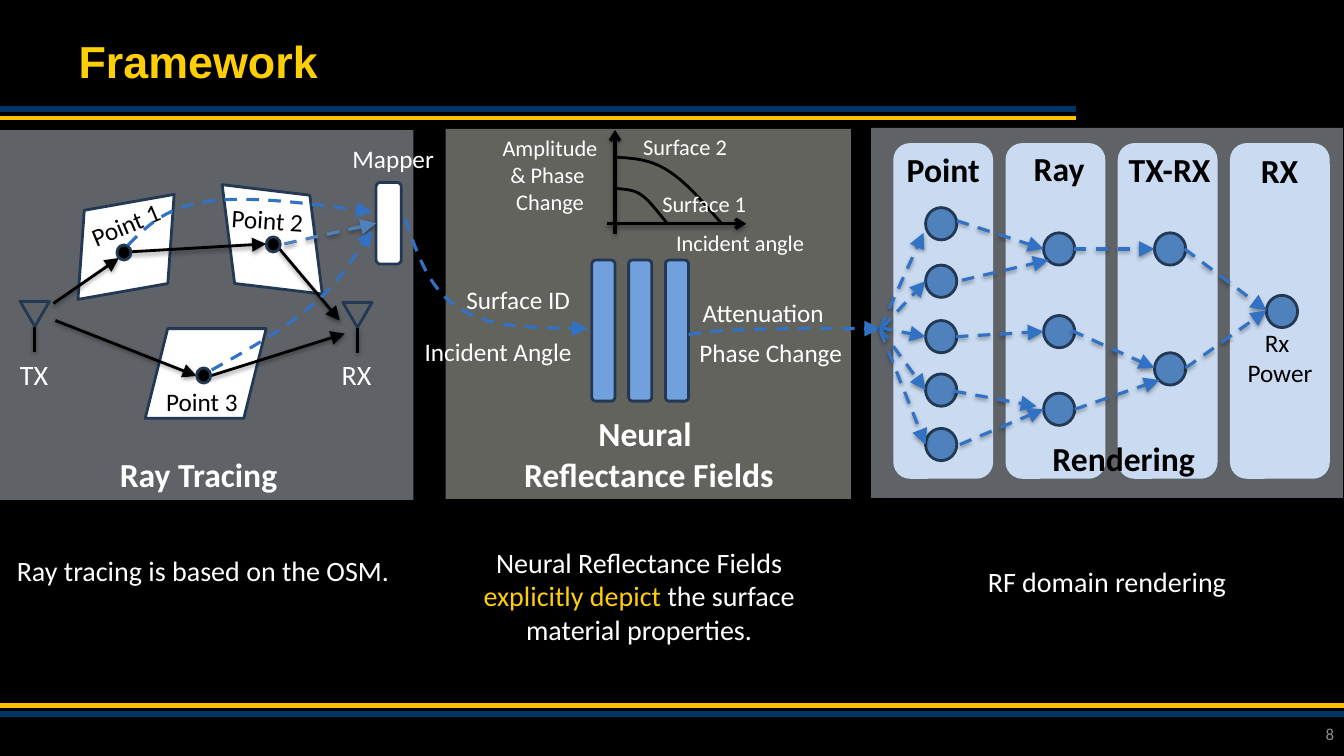
from lxml import etree
from pptx import Presentation
from pptx.dml.color import RGBColor
from pptx.enum.dml import MSO_LINE
from pptx.enum.shapes import MSO_CONNECTOR, MSO_SHAPE
from pptx.enum.text import MSO_ANCHOR, MSO_AUTO_SIZE, PP_ALIGN
from pptx.oxml.ns import qn
from pptx.util import Inches, Pt

RECT, ROUND = MSO_SHAPE.RECTANGLE, MSO_SHAPE.ROUNDED_RECTANGLE
SLANT, WEDGE, DOT = MSO_SHAPE.PARALLELOGRAM, MSO_SHAPE.ISOSCELES_TRIANGLE, MSO_SHAPE.OVAL
LEFT, MID, RIGHT = PP_ALIGN.LEFT, PP_ALIGN.CENTER, PP_ALIGN.RIGHT
DASH, STRAIGHT = MSO_LINE.DASH, MSO_CONNECTOR.STRAIGHT
TOP, MIDDLE = MSO_ANCHOR.TOP, MSO_ANCHOR.MIDDLE
FIXED, GROW = MSO_AUTO_SIZE.NONE, MSO_AUTO_SIZE.SHAPE_TO_FIT_TEXT

COLS, ROWS, CELL = 133.3, 75, 0.1
HUES = {
    "black": "000000", "white": "FFFFFF", "gold": "FFC000", "title": "FFCF05",
    "navy": "003366", "edge": "233953", "blue": "4F81BD", "link": "3172C4",
    "bar": "71A1DC", "pale": "B8D0ED", "mist": "E3ECF8", "sand": "EEECE1",
    "gray": "8C8C8C",
}


def hue(name):
    return RGBColor.from_string(HUES[name])


def grid(*cells):
    return [Inches(cell * CELL) for cell in cells]


class Board:
    def __init__(self):
        self.deck = Presentation()
        self.deck.slide_width, self.deck.slide_height = grid(COLS, ROWS)
        self.slide = self.deck.slides.add_slide(self.deck.slide_layouts[5])
        self.slide.background.fill.solid()
        self.slide.background.fill.fore_color.rgb = hue("black")
        self.shapes = self.slide.shapes

    def style(self, para, size, tone, bold, align, face="Calibri"):
        para.alignment = align
        font = para.font
        font.name, font.size, font.bold = face, Pt(size), bold
        font.color.rgb = hue(tone)

    def title(self, words, x, y, w, h):
        item = self.shapes.title
        item.left, item.top, item.width, item.height = grid(x, y, w, h)
        frame = item.text_frame
        frame.text = words
        frame.vertical_anchor, frame.auto_size = MIDDLE, FIXED
        self.style(frame.paragraphs[0], 32, "title", True, LEFT, "Arial")

    def text(self, words, x, y, w, h, size=18, tone="white", bold=False,
             align=MID, turn=0, wrap=False, hot="", fit=GROW, anchor=TOP):
        item = self.shapes.add_textbox(*grid(x, y, w, h))
        item.rotation = turn
        frame = item.text_frame
        frame.word_wrap, frame.auto_size, frame.vertical_anchor = wrap, fit, anchor
        for i, row in enumerate(words.split("\n")):
            para = frame.add_paragraph() if i else frame.paragraphs[0]
            for bit in row.partition(hot) if hot else [row]:
                run = para.add_run()
                run.text = bit
                if bit == hot:
                    run.font.color.rgb = hue("title")
            self.style(para, size, tone, bold, align)

    def box(self, kind, x, y, w, h, fill=None, edge="edge", turn=0, alpha=None):
        item = self.shapes.add_shape(kind, *grid(x, y, w, h))
        item.shadow.inherit = False
        item.rotation = turn
        if fill:
            item.fill.solid()
            item.fill.fore_color.rgb = hue(fill)
        else:
            item.fill.background()
        if alpha:
            tint = item.element.spPr.find(".//" + qn("a:srgbClr"))
            etree.SubElement(tint, qn("a:alpha"), val=str(alpha * 1000))
        if edge:
            item.line.color.rgb = hue(edge)
            item.line.width = Pt(2)
        else:
            item.line.fill.background()
        return item

    def pen(self, item, tone, width, head, dash):
        item.line.color.rgb = hue(tone)
        item.line.width = Pt(width)
        if dash:
            item.line.dash_style = DASH
        if head:
            size = "lg" if head == "triangle" else "med"
            etree.SubElement(item.element.spPr.find(qn("a:ln")), qn("a:tailEnd"),
                             type=head, w=size, len=size)

    def line(self, ends, tone="black", width=2, head="triangle", dash=False, shade=True):
        item = self.shapes.add_connector(STRAIGHT, *grid(*ends))
        self.pen(item, tone, width, head, dash)
        glow = etree.SubElement(item.element.spPr, qn("a:effectLst"))
        if shade:
            drop = etree.SubElement(glow, qn("a:outerShdw"), blurRad="40000", dist="20000",
                                    dir="5400000", rotWithShape="0")
            tint = etree.SubElement(drop, qn("a:srgbClr"), val=HUES["black"])
            etree.SubElement(tint, qn("a:alpha"), val="38000")
        return item

    def curve(self, knots, tone="link", width=2.25, head="triangle", dash=True):
        pen = self.shapes.build_freeform(*grid(*knots[0]), scale=1.0)
        pen.add_line_segments([grid(*knot) for knot in knots[1:]], close=False)
        item = pen.convert_to_shape()
        path = item.element.spPr.find(".//" + qn("a:path"))
        legs = path.findall(qn("a:lnTo"))
        for i in range(0, len(legs), 3):
            bend = etree.SubElement(path, qn("a:cubicBezTo"))
            for leg in legs[i:i + 3]:
                bend.append(leg[0])
                path.remove(leg)
        item.shadow.inherit = False
        item.fill.background()
        self.pen(item, tone, width, head, dash)


def frame(board):
    for y, w, tone, width in ((11.7, 106.7, "gold", 3), (70, COLS, "gold", 3),
                              (70.8, COLS, "navy", 4.5), (10.8, 106.7, "navy", 4.5)):
        board.line((0, y, w, y), tone, width, head=None, shade=False)
    board.title("Framework", 6.8, 2.5, 105, 7)
    board.text("8", 102.2, 70.8, 31.1, 4, 12, "gray", align=RIGHT, wrap=True,
               fit=FIXED, anchor=MIDDLE)
    board.text("Ray tracing is based on the OSM.", -0.5, 54.4, 41.3, 4.4, 20, wrap=True)
    board.text("Neural Reflectance Fields explicitly depict the surface material properties.",
               45.6, 53.6, 35.6, 11.1, 20, wrap=True, hot="explicitly depict ")
    board.text("RF domain rendering", 92, 55.5, 35.6, 4.4, 20, wrap=True)
    for i in range(4):
        board.box(ROUND, 88.6 + 11.13 * i, 14.2, 9.9, 33.3, "pale", None)
    for x, y, w, tone in ((0, 12.9, 41, "mist"), (86.4, 12.7, 46.8, "mist"),
                          (44.2, 12.8, 40.2, "sand")):
        board.box(RECT, x, y, w, 36.7, tone, None, alpha=42)
    board.text("Ray Tracing", 10.9, 44.5, 17.8, 5, 24, bold=True, align=LEFT)
    board.text("Neural \nReflectance Fields", 50.8, 40.5, 27.1, 9.1, 24, bold=True)
    board.text("Rendering", 103.4, 43, 17.6, 5, 24, "black", True, LEFT)


def trace(board):
    for x, y, w, h, turn in ((6.9, 20.2, 11.2, 8.6, 350), (21, 19.5, 12, 8.5, 82.8),
                             (14.4, 32.6, 12, 8.9, 180)):
        board.box(SLANT, x, y, w, h, "white", turn=turn)
    for name, x, y, left in (("TX", 2, 29.9, 1), ("RX", 34, 30, 32.9)):
        board.box(WEDGE, x, y, 2.9, 2.5, turn=180)
        board.line((x + 1.45, y + 2.5, x + 1.45, y + 5), head=None)
        board.text(name, left, 35, 5, 4.4, 20, align=LEFT)
    for ends in ((5.3, 30.1, 11.8, 25.6), (12.6, 25, 26.4, 24.2), (27.3, 24.2, 33.7, 31.8),
                 (5.5, 31.8, 19.5, 37.3), (20.2, 37.5, 34.2, 33.1)):
        board.line(ends)
    for x, y in ((11.6, 24.3), (26.4, 23.5), (19.5, 36.5)):
        board.box(DOT, x, y, 1.4, 1.5, "black")
    mapper = board.box(ROUND, 37.3, 18.1, 2.5, 8.1, "white")
    board.text("Mapper", 33.8, 13.7, 10.4, 4)
    board.line((28.2, 24.2, 37.3, 22.1), "blue", 2.25, dash=True).end_connect(mapper, 1)
    for i, (x, y, turn) in enumerate(((7.9, 20.2, 337.3), (22, 19.8, 3.6), (15.5, 37.8, 0)), 1):
        board.text(f"Point {i}", x, y, 9.4, 4, tone="black", align=LEFT, turn=turn)
    board.curve(((21, 36.7), (24.6, 34.7), (28.1, 32.7), (30.8, 30.4),
                 (33.4, 28.2), (35.1, 25.5), (36.9, 22.9)))
    board.curve(((12.7, 24.3), (14.6, 22.4), (16.4, 20.6), (20.4, 20),
                 (24.5, 19.4), (30.7, 20.2), (36.9, 21)))


def fields(board):
    for i in range(3):
        board.box(ROUND, 58.7 + 3.65 * i, 25.8, 2.3, 14, "bar")
    board.curve(((40.2, 21.7), (41.4, 25.3), (42.6, 28.8), (45.6, 30.6),
                 (48.6, 32.5), (53.4, 32.5), (58.3, 32.6)))
    board.curve(((68.3, 33.2), (69.5, 33), (70.8, 32.8), (73.9, 32.7),
                 (77.1, 32.6), (82.2, 32.6), (87.3, 32.6)))
    for words, x, y, w in (("Surface ID", 45.2, 27.7, 12.4), ("Incident Angle", 41, 32.9, 16.8),
                           ("Attenuation", 68.3, 29, 14.8), ("Phase Change", 68.3, 33, 16.3)):
        board.text(words, x, y, w, 4)
    for ends in ((60.2, 22.2, 74, 22.2), (61, 23.2, 61, 12.9)):
        board.line(ends, width=2.5, head="arrow")
    for knots in (((61.2, 18.7), (62.1, 18.8), (62.9, 18.8), (63.7, 19.4),
                   (64.5, 20), (65.3, 21.1), (66.2, 22.2)),
                  ((61.1, 15.6), (62.8, 15.7), (64.5, 15.8), (66.2, 16.9),
                   (68, 18), (69.7, 20), (71.5, 22.1))):
        board.curve(knots, "black", 2, head=None, dash=False)
    board.text("Incident angle", 66, 22.2, 14.8, 3.7, 16)
    board.text("Amplitude\n& Phase \nChange", 48.8, 12.8, 11.5, 9.1, 16)
    for words, x, y in (("Surface 1", 64.7, 18.4), ("Surface 2", 62.8, 12.7)):
        board.text(words, x, y, 18.9, 3.7, 16, align=LEFT, wrap=True)


def render(board):
    for words, x, y, w in (("Point", 88.6, 14.3, 9.9), ("Ray", 101.2, 14.2, 7.7),
                           ("TX-RX", 110.5, 14.3, 11), ("RX", 123.8, 14.4, 6.2)):
        board.text(words, x, y, w, 5, 24, "black", True)
    for x, tops in ((91.8, (20.6, 26.3, 31.8, 37.1, 42.5)), (103.5, (23.1, 31.3, 39)),
                    (114.5, (23.1, 35)), (125.6, (29.3,))):
        for y in tops:
            board.box(DOT, x, y, 3.1, 3.2, "blue")
    for ends in ((87.3, 32.6, 91.6, 23.1), (87.5, 32.5, 91.8, 27.9), (87.3, 32.5, 91.8, 33.4),
                 (87.3, 32.6, 91.8, 38.7), (87.3, 32.8, 91.8, 44.1),
                 (94.9, 21.9, 103.5, 24.7), (95.4, 27.8, 104, 25.8), (94.6, 38.8, 102.8, 40.3),
                 (95.2, 44.1, 103.5, 40.6), (94.8, 33.4, 103.5, 32.9),
                 (106.3, 32.8, 114.5, 36.5), (106.6, 40.6, 115, 37.7), (106.5, 24.7, 114.5, 24.7),
                 (117.5, 24.7, 125.6, 30.8), (117.6, 36.5, 125.6, 30.8)):
        board.line(ends, "link", 2.25, dash=True)
    board.text("Rx \nPower", 122.6, 32, 8.7, 7.1, tone="black")


def main():
    board = Board()
    for part in (frame, trace, fields, render):
        part(board)
    board.deck.save("out.pptx")


if __name__ == "__main__":
    main()
